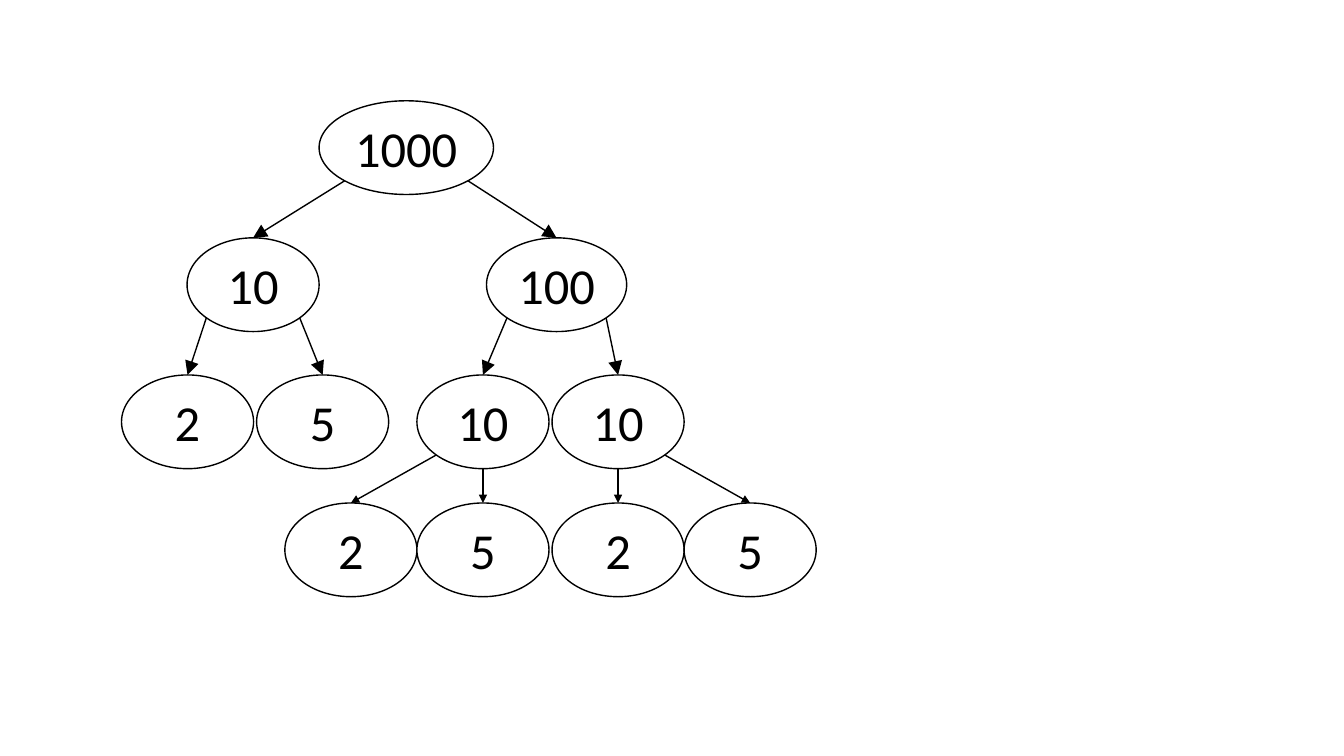
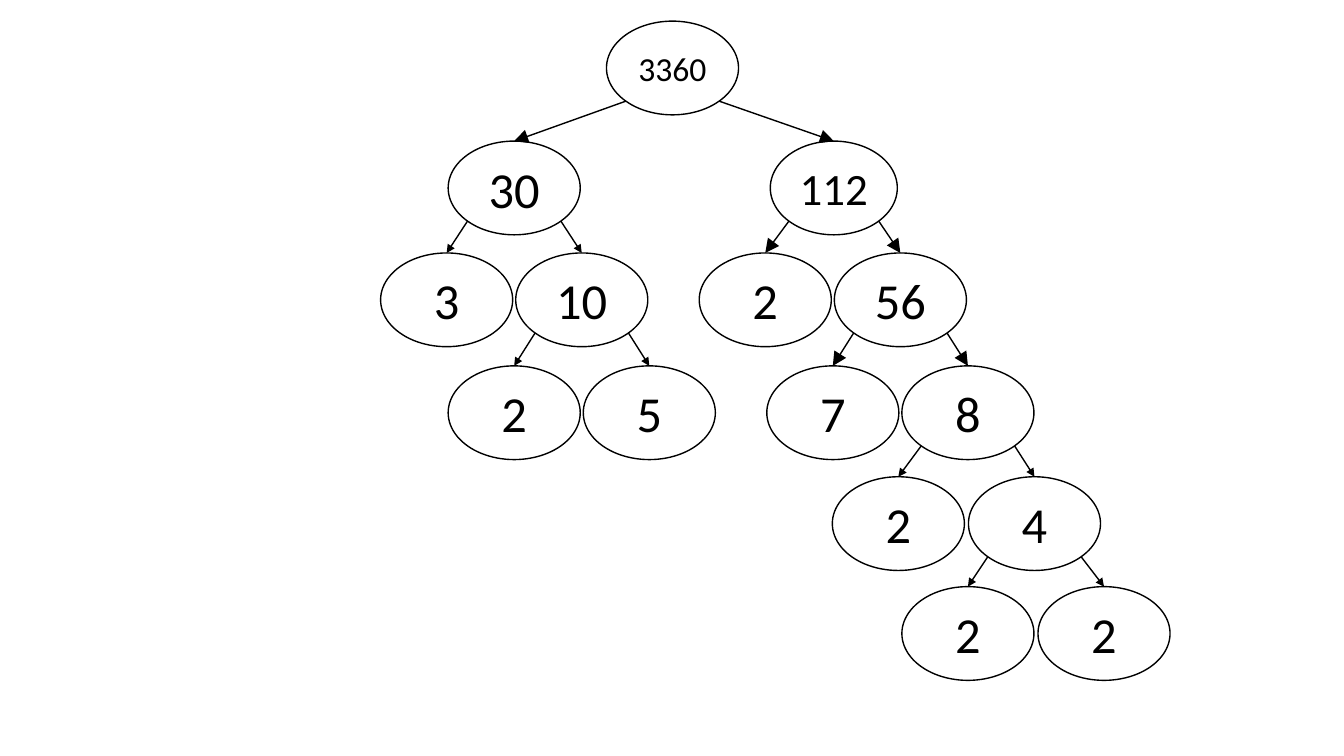
import math
from dataclasses import dataclass

from lxml import etree
from pptx import Presentation
from pptx.dml.color import RGBColor
from pptx.enum.shapes import MSO_CONNECTOR, MSO_SHAPE
from pptx.enum.text import MSO_ANCHOR, PP_ALIGN
from pptx.oxml.ns import qn
from pptx.util import Inches, Pt

ELLIPSE = MSO_SHAPE.OVAL
STRAIGHT = MSO_CONNECTOR.STRAIGHT
MIDDLE = MSO_ANCHOR.MIDDLE
CENTER = PP_ALIGN.CENTER

COLORS = {"ink": "000000", "paper": "FFFFFF"}
FONT = "Calibri"
LINE_WIDTH = Pt(1)
NODE_HEIGHT = 0.93
BLANK_LAYOUT = 6
TOP_SITE, LOWER_LEFT_SITE, BOTTOM_SITE, LOWER_RIGHT_SITE = 0, 3, 4, 5


@dataclass
class Factor:
    """A number; spread holds its children's offsets from its centre."""
    value: int
    children: tuple = ()
    spread: tuple = (-0.67, 0.67)
    width: float = 1.31
    size: int = 36
    head: str = "lg"


def rgb(name):
    return RGBColor.from_string(COLORS[name])


def write_text(sp, text, size=36, color="ink", align=CENTER):
    tf = sp.text_frame
    tf.word_wrap = True
    tf.vertical_anchor = MIDDLE
    tf.margin_left = tf.margin_right = 0
    p = tf.paragraphs[0]
    p.alignment = align
    r = p.add_run()
    r.text = text
    r.font.name = FONT
    r.font.size = Pt(size)
    r.font.color.rgb = rgb(color)


def style_line(line):
    line.color.rgb = rgb("ink")
    line.width = LINE_WIDTH


def add_node(slide, factor, center, top):
    sp = slide.shapes.add_shape(
        ELLIPSE, Inches(center - factor.width / 2), Inches(top),
        Inches(factor.width), Inches(NODE_HEIGHT))
    sp.shadow.inherit = False
    sp.fill.solid()
    sp.fill.fore_color.rgb = rgb("paper")
    style_line(sp.line)
    write_text(sp, str(factor.value), size=factor.size)
    return sp


def add_arrow(slide, parent, child, offset, head):
    """Join the parent's lower rim, on the child's side, to the child's top."""
    side = (offset > 0) - (offset < 0)
    site = (BOTTOM_SITE, LOWER_RIGHT_SITE, LOWER_LEFT_SITE)[side]
    diagonal = math.sqrt(0.5)
    drop = diagonal if side else 1
    x = parent.left + parent.width / 2 * (1 + side * diagonal)
    y = parent.top + parent.height / 2 * (1 + drop)
    line = slide.shapes.add_connector(STRAIGHT, int(x), int(y), int(x), int(y))
    line.end_connect(child, TOP_SITE)
    style_line(line.line)

    # begin_connect knows only four sites; an ellipse has eight.
    start = etree.Element(qn("a:stCxn"), id=str(parent.shape_id), idx=str(site))
    line._element.find(".//" + qn("p:cNvCxnSpPr")).insert(0, start)
    properties = line._element.spPr
    etree.SubElement(properties.find(qn("a:ln")), qn("a:tailEnd"),
                     type="triangle", w=head, len=head)
    etree.SubElement(properties, qn("a:effectLst"))


def add_tree(slide, factor, center, tops):
    """Draw a factor and, on the levels below, everything it splits into."""
    sp = add_node(slide, factor, center, tops[0])
    for child, offset in zip(factor.children, factor.spread):
        child_sp = add_tree(slide, child, center + offset, tops[1:])
        add_arrow(slide, sp, child_sp, offset, factor.head)
    return sp


def tree_of_1000():
    left_ten = Factor(10, (Factor(2), Factor(5)), (-0.65, 0.69))
    middle_ten = Factor(10, (Factor(2), Factor(5)), (-1.31, 0), head="med")
    right_ten = Factor(10, (Factor(2), Factor(5)), (0, 1.31), head="med")
    hundred = Factor(100, (middle_ten, right_ten), (-0.73, 0.61), width=1.39)
    return Factor(1000, (left_ten, hundred), (-1.52, 1.49), width=1.73)


def tree_of_3360():
    ten = Factor(10, (Factor(2), Factor(5)), head="med")
    thirty = Factor(30, (Factor(3), ten), head="med")
    four = Factor(4, (Factor(2), Factor(2)), (-0.66, 0.69), head="med")
    eight = Factor(8, (Factor(2), four), (-0.69, 0.66), head="med")
    fifty_six = Factor(56, (Factor(7), eight))
    right = Factor(112, (Factor(2), fifty_six), (-0.68, 0.66), width=1.26, size=32)
    return Factor(3360, (thirty, right), (-1.57, 1.6), size=24)


def main():
    prs = Presentation()
    prs.slide_width, prs.slide_height = Inches(13.33), Inches(7.5)
    trees = (
        (tree_of_1000(), 4.03, (1, 2.36, 3.72, 4.99)),
        (tree_of_3360(), 6.67, (0.21, 1.4, 2.51, 3.63, 4.73, 5.82)),
    )
    for root, center, tops in trees:
        slide = prs.slides.add_slide(prs.slide_layouts[BLANK_LAYOUT])
        add_tree(slide, root, center, tops)
    prs.save("out.pptx")


if __name__ == "__main__":
    main()
